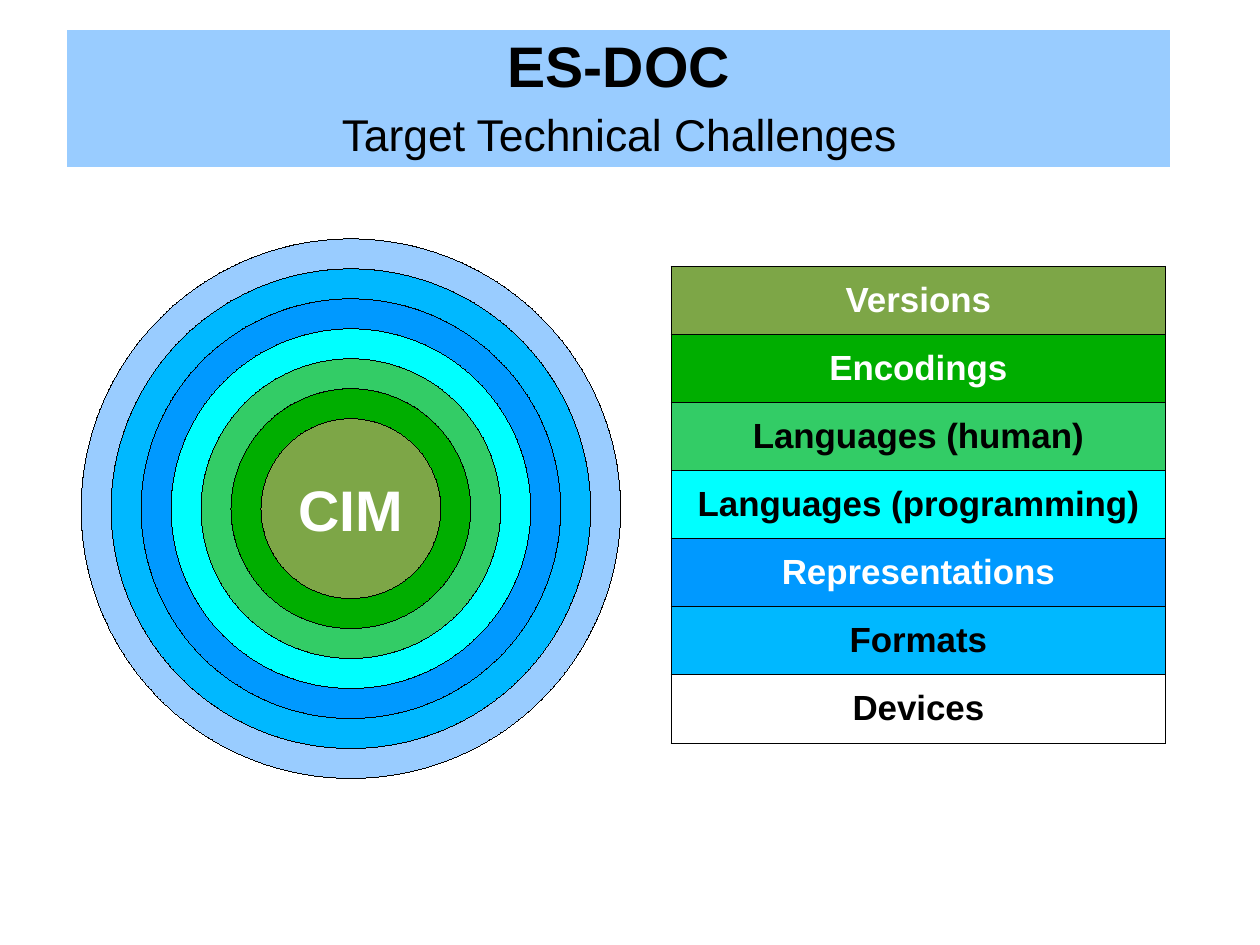
from dataclasses import dataclass

from lxml import etree
from pptx import Presentation
from pptx.dml.color import RGBColor
from pptx.enum.shapes import MSO_SHAPE
from pptx.enum.text import MSO_ANCHOR, PP_ALIGN
from pptx.oxml.ns import qn
from pptx.shapes.autoshape import Shape
from pptx.shapes.group import GroupShape
from pptx.slide import Slide
from pptx.table import Table, _Cell
from pptx.text.text import _Paragraph
from pptx.util import Inches, Pt

CENTER = PP_ALIGN.CENTER
MIDDLE = MSO_ANCHOR.MIDDLE
ELLIPSE = MSO_SHAPE.OVAL

BLACK = RGBColor(0x00, 0x00, 0x00)
WHITE = RGBColor(0xFF, 0xFF, 0xFF)
PALE_BLUE = RGBColor(0x99, 0xCC, 0xFF)
SKY = RGBColor(0x00, 0xB8, 0xFF)
BLUE = RGBColor(0x00, 0x99, 0xFF)
CYAN = RGBColor(0x00, 0xFF, 0xFF)
LIGHT_GREEN = RGBColor(0x33, 0xCC, 0x66)
GREEN = RGBColor(0x00, 0xAE, 0x00)
OLIVE = RGBColor(0x7D, 0xA6, 0x47)

FONT = "Arial"
CM_PER_INCH = 2.54
SLIDE_WIDTH = Inches(28 / CM_PER_INCH)
SLIDE_HEIGHT = Inches(21 / CM_PER_INCH)
CENTER_X, CENTER_Y = 3.07, 4.45
OUTER_DIAMETER = 4.72
CORE_BANDS = 3
HAIRLINE = Pt(0.01)
BORDER_WIDTH = Pt(0.57)


@dataclass(frozen=True)
class Heading:
    text: str
    size: int
    bold: bool
    height: float


@dataclass(frozen=True)
class Challenge:
    label: str
    ring_color: RGBColor
    text_color: RGBColor = BLACK
    filled_row: bool = True


HEADINGS = [
    Heading("ES-DOC", 36, True, 0.66),
    Heading("Target Technical Challenges", 28, False, 0.54),
]

CHALLENGES = [
    Challenge("Versions", OLIVE, WHITE),
    Challenge("Encodings", GREEN, WHITE),
    Challenge("Languages (human)", LIGHT_GREEN),
    Challenge("Languages (programming)", CYAN),
    Challenge("Representations", BLUE, WHITE),
    Challenge("Formats", SKY),
    Challenge("Devices", PALE_BLUE, filled_row=False),
]


def write(paragraph: _Paragraph, text: str, *, size: int,
          color: RGBColor = BLACK, bold: bool = True) -> None:
    paragraph.alignment = CENTER
    run = paragraph.add_run()
    run.text = text
    run.font.name = FONT
    run.font.size = Pt(size)
    run.font.bold = bold
    run.font.color.rgb = color


def add_column(slide: Slide, rows: int, left: float, top: float,
               width: float, height: float) -> Table:
    column = slide.shapes.add_table(
        rows, 1, Inches(left), Inches(top), Inches(width), Inches(height)).table
    column.first_row = False
    column.horz_banding = False
    return column


def paint(cell: _Cell, color: RGBColor) -> None:
    cell.fill.solid()
    cell.fill.fore_color.rgb = color


def add_borders(cell: _Cell, width: int, color: RGBColor) -> None:
    properties = cell._tc.get_or_add_tcPr()
    for side in ("a:lnL", "a:lnR", "a:lnT", "a:lnB"):
        border = etree.SubElement(properties, qn(side), w=str(width))
        if width:
            stroke = etree.SubElement(border, qn("a:solidFill"))
            etree.SubElement(stroke, qn("a:srgbClr"), val=str(color))
        else:
            etree.SubElement(border, qn("a:noFill"))


def add_banner(slide: Slide) -> None:
    banner = add_column(slide, len(HEADINGS), 0.59, 0.26, 9.65, 1.2)
    for index, heading in enumerate(HEADINGS):
        banner.rows[index].height = Inches(heading.height)
        cell = banner.cell(index, 0)
        add_borders(cell, 0, PALE_BLUE)
        paint(cell, PALE_BLUE)
        write(cell.text_frame.paragraphs[0], heading.text,
              size=heading.size, bold=heading.bold)


def add_legend(slide: Slide) -> None:
    legend = add_column(slide, len(CHALLENGES), 5.87, 2.33, 4.33, 4.17)
    for index, challenge in enumerate(CHALLENGES):
        cell = legend.cell(index, 0)
        cell.margin_left = cell.margin_right = Inches(0.04)
        cell.vertical_anchor = MIDDLE
        add_borders(cell, BORDER_WIDTH, BLACK)
        if challenge.filled_row:
            paint(cell, challenge.ring_color)
        else:
            cell.fill.background()
        write(cell.text_frame.paragraphs[0], challenge.label,
              size=22, color=challenge.text_color)


def add_ring(target: GroupShape, diameter: float, color: RGBColor) -> Shape:
    ring = target.shapes.add_shape(
        ELLIPSE, Inches(CENTER_X - diameter / 2), Inches(CENTER_Y - diameter / 2),
        Inches(diameter), Inches(diameter))
    ring.shadow.inherit = False
    ring.fill.solid()
    ring.fill.fore_color.rgb = color
    ring.line.color.rgb = BLACK
    ring.line.width = HAIRLINE
    return ring


def add_target(slide: Slide) -> None:
    target = slide.shapes.add_group_shape()
    band = OUTER_DIAMETER / (CORE_BANDS + len(CHALLENGES) - 1)
    for index, challenge in reversed(list(enumerate(CHALLENGES))):
        core = add_ring(target, band * (CORE_BANDS + index), challenge.ring_color)
    core.text_frame.word_wrap = False
    core.text_frame.vertical_anchor = MIDDLE
    write(core.text_frame.paragraphs[0], "CIM", size=36, color=WHITE)


def main() -> None:
    deck = Presentation()
    deck.slide_width, deck.slide_height = SLIDE_WIDTH, SLIDE_HEIGHT
    slide = deck.slides.add_slide(deck.slide_layouts[6])
    add_banner(slide)
    add_legend(slide)
    add_target(slide)
    deck.save("out.pptx")


if __name__ == "__main__":
    main()
